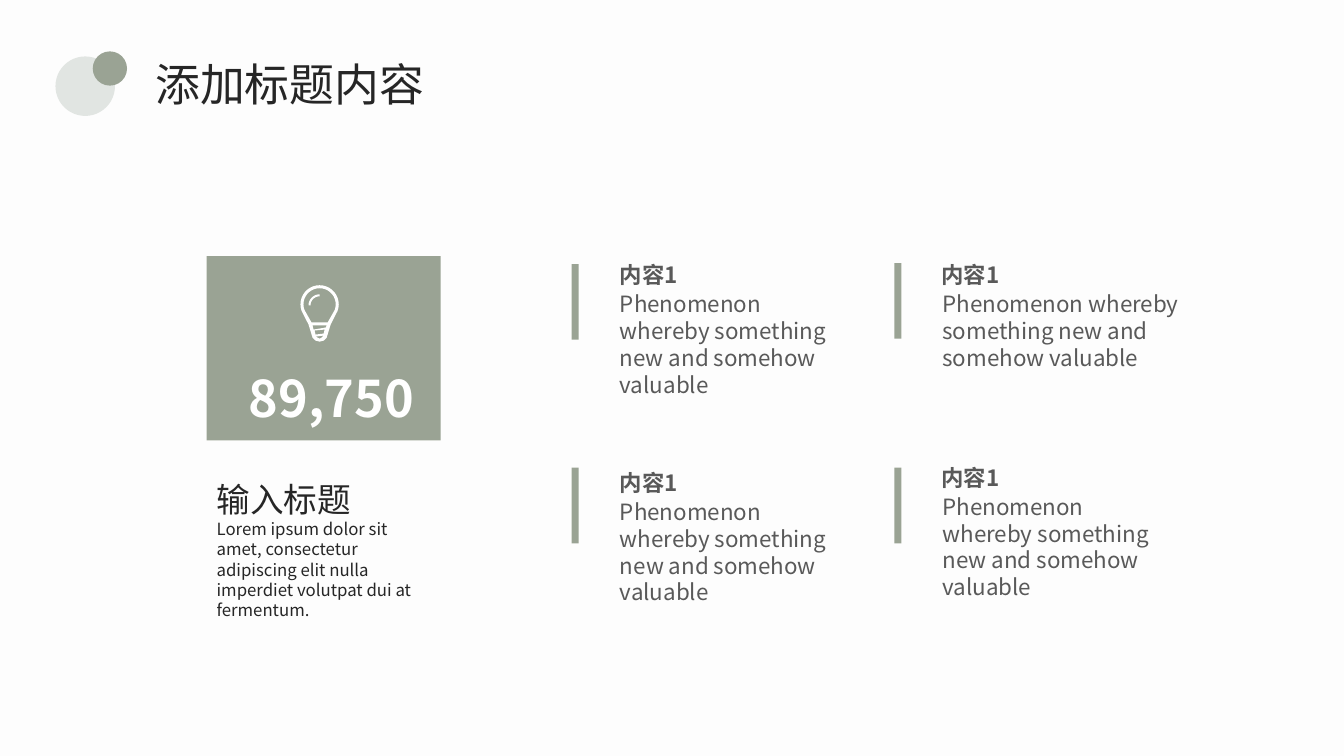
"""Build a title slide section with a key figure card and four content items."""
from math import cos, radians, sin

from lxml import etree
from pptx import Presentation
from pptx.dml.color import RGBColor
from pptx.enum.shapes import MSO_SHAPE
from pptx.enum.text import MSO_ANCHOR, MSO_AUTO_SIZE, PP_ALIGN
from pptx.oxml.ns import qn
from pptx.util import Inches, Pt

RECT, OVAL = MSO_SHAPE.RECTANGLE, MSO_SHAPE.OVAL
TOP, LEFT = MSO_ANCHOR.TOP, PP_ALIGN.LEFT
FIT = MSO_AUTO_SIZE.SHAPE_TO_FIT_TEXT

FONT = "Noto Sans CJK SC"
PAPER = RGBColor(0xFD, 0xFD, 0xFD)
SAGE = RGBColor(0x9A, 0xA3, 0x94)
MIST = RGBColor(0xE1, 0xE5, 0xE2)
INK = RGBColor(0x26, 0x26, 0x26)
GREY = RGBColor(0x59, 0x59, 0x59)
WHITE = RGBColor(0xFF, 0xFF, 0xFF)

ITEM_HEAD = "内容1"
ITEM_BODY = "Phenomenon whereby something new and somehow valuable"
CARD_BODY = ("Lorem ipsum dolor sit amet, consectetur adipiscing elit nulla "
             "imperdiet volutpat dui at fermentum.")
ITEMS = [
    {"bar": (5.67, 2.62), "head": (6.05, 2.54), "body": (6.05, 2.83, 2.53, 1.18)},
    {"bar": (8.87, 2.61), "head": (9.24, 2.54), "body": (9.25, 2.83, 2.64, 0.91)},
    {"bar": (5.67, 4.64), "head": (6.05, 4.61), "body": (6.05, 4.89, 2.39, 1.18)},
    {"bar": (8.87, 4.64), "head": (9.24, 4.56), "body": (9.25, 4.84, 2.25, 1.45)},
]

BULB_X, BULB_Y = 3.17, 3.02
BULB_SIDE = [(3.31, 3.16), (3.28, 3.22), (3.24, 3.35), (3.21, 3.38), (3.17, 3.39)]
BULB_GAPS = [
    [(3.1, 3.23), (3.24, 3.23), (3.23, 3.25), (3.11, 3.27)],
    [(3.12, 3.28), (3.22, 3.27), (3.21, 3.31), (3.13, 3.32)],
    [(3.13, 3.34), (3.21, 3.33), (3.19, 3.35), (3.17, 3.36), (3.15, 3.35)],
]


def paint(s, color):
    s.shadow.inherit = False
    s.fill.solid()
    s.fill.fore_color.rgb = color
    s.line.fill.background()


def add_block(shapes, kind, box, color):
    paint(shapes.add_shape(kind, *map(Inches, box)), color)


def write(sp, text, size, color, wrap=True, bold=False):
    tf = sp.text_frame
    frame_format = {"word_wrap": wrap, "auto_size": FIT, "vertical_anchor": TOP}
    for name, value in frame_format.items():
        setattr(tf, name, value)
    p = tf.paragraphs[0]
    p.alignment = LEFT
    r = p.add_run()
    r.text = text
    for name, value in {"name": FONT, "size": Pt(size), "bold": bold}.items():
        setattr(r.font, name, value)
    r.font.color.rgb = color
    etree.SubElement(r._r.get_or_add_rPr(), qn("a:ea"), typeface=FONT)


def add_text(shapes, box, *args, **kwargs):
    write(shapes.add_textbox(*map(Inches, box)), *args, **kwargs)


def add_title(s, box, text):
    sp = s.shapes.title
    for name, value in zip(("left", "top", "width", "height"), box):
        setattr(sp, name, Inches(value))
    write(sp, text, 32, INK, wrap=False)


def arc(x, y, radius, start, stop, step=10):
    return [(x + radius * cos(radians(a)), y + radius * sin(radians(a)))
            for a in range(start, stop + step, step)]


def add_outline(shapes, contours, color):
    contours = [[(Inches(x), Inches(y)) for x, y in c] for c in contours]
    first, *others = contours
    builder = shapes.build_freeform(*first[0])
    builder.add_line_segments(first[1:], close=True)
    for contour in others:
        builder.move_to(*contour[0])
        builder.add_line_segments(contour[1:], close=True)
    paint(builder.convert_to_shape(), color)


def add_bulb(shapes):
    left_side = [(2 * BULB_X - x, y) for x, y in reversed(BULB_SIDE[:-1])]
    outside = arc(BULB_X, BULB_Y, 0.19, 160, 380) + BULB_SIDE + left_side
    glass = arc(BULB_X, BULB_Y, 0.16, 160, 380) + [(3.25, 3.2), (3.09, 3.2)]
    add_outline(shapes, [outside, glass, *BULB_GAPS], WHITE)
    gleam = arc(3.17, 3.03, 0.11, 180, 270) + arc(3.17, 3.03, 0.09, 180, 270)[::-1]
    add_outline(shapes, [gleam], WHITE)


def add_card(shapes):
    add_block(shapes, RECT, (2.05, 2.54, 2.32, 1.83), SAGE)
    add_text(shapes, (2.37, 3.59, 1.91, 0.71), "89,750", 36, WHITE, wrap=False, bold=True)
    add_text(shapes, (2.05, 4.7, 1.55, 0.5), "输入标题", 24, INK, wrap=False)
    add_text(shapes, (2.05, 5.1, 2.29, 1.11), CARD_BODY, 12, INK)
    add_bulb(shapes)


def add_item(shapes, bar, head, body):
    add_text(shapes, body, ITEM_BODY, 16, GREY)
    add_text(shapes, (*head, 1.24, 0.37), ITEM_HEAD, 16, GREY, bold=True)
    add_block(shapes, RECT, (*bar, 0.07, 0.75), SAGE)


def main():
    prs = Presentation()
    prs.slide_width, prs.slide_height = Inches(13.33), Inches(7.5)
    s = prs.slides.add_slide(prs.slide_layouts[5])
    s.background.fill.solid()
    s.background.fill.fore_color.rgb = PAPER
    add_title(s, (1.44, 0.51, 2.89, 0.64), "添加标题内容")
    add_block(s.shapes, OVAL, (0.55, 0.56, 0.59, 0.59), MIST)
    add_block(s.shapes, OVAL, (0.92, 0.51, 0.34, 0.34), SAGE)
    add_card(s.shapes)
    for item in ITEMS:
        add_item(s.shapes, **item)
    prs.save("out.pptx")


if __name__ == "__main__":
    main()
